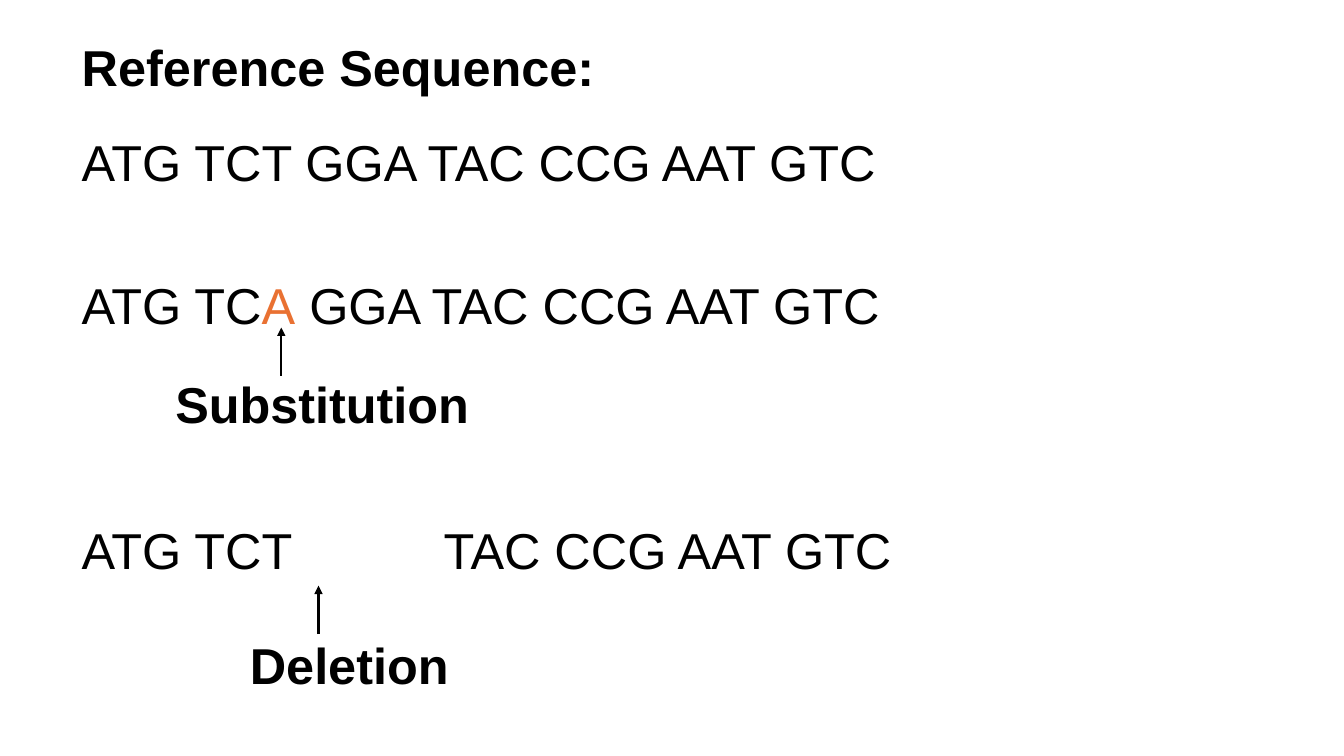
from lxml import etree
from pptx import Presentation
from pptx.dml.color import RGBColor
from pptx.enum.shapes import MSO_CONNECTOR
from pptx.enum.text import MSO_ANCHOR, MSO_AUTO_SIZE, PP_ALIGN
from pptx.oxml.ns import qn
from pptx.util import Inches, Pt

STRAIGHT = MSO_CONNECTOR.STRAIGHT
TOP = MSO_ANCHOR.TOP
GROW = MSO_AUTO_SIZE.SHAPE_TO_FIT_TEXT
LEFT = PP_ALIGN.LEFT
COLORS = {"ink": "000000", "changed": "E97132"}

deck = Presentation()
deck.slide_width = Inches(13.33)
deck.slide_height = Inches(7.5)
column = deck.slide_width / 100
row = deck.slide_height / 100
margin = 5.33
line_rows = 9.47
arrow_rows = 6.4
slide = deck.slides.add_slide(deck.slide_layouts[5])


def write(box, pieces, bold=False):
    frame = box.text_frame
    frame.word_wrap = True
    frame.auto_size = GROW
    frame.vertical_anchor = TOP
    paragraph = frame.paragraphs[0]
    paragraph.alignment = LEFT
    for text, color in pieces:
        run = paragraph.add_run()
        run.text = text
        run.font.color.rgb = RGBColor.from_string(COLORS[color])
    paragraph.font.name = "Arial"
    paragraph.font.size = Pt(36)
    paragraph.font.bold = bold
    return paragraph


def place(left, top, width):
    return [round(n) for n in (left * column, top * row, width * column, line_rows * row)]


heading = slide.shapes.title
heading.left, heading.top, heading.width, heading.height = place(margin, 4.13, 91.67)
write(heading, [("Reference Sequence:", "ink")], bold=True)

sequences = [
    (16.67, 84.7, [("ATG TCT GGA TAC CCG AAT GTC", "ink")]),
    (35.6, 91.67, [("ATG TC", "ink"), ("A", "changed"), (" GGA TAC CCG AAT GTC", "ink")]),
    (68, 91.67, [("ATG TCT\tTAC CCG AAT GTC", "ink")]),
]
for top, width, pieces in sequences:
    sequence = write(slide.shapes.add_textbox(*place(margin, top, width)), pieces)

deletion_gap = etree.SubElement(sequence._p.get_or_add_pPr(), qn("a:tabLst"))
etree.SubElement(deletion_gap, qn("a:tab"), pos=str(Inches(3.59)), algn="l")
properties = sequence._p.pPr
properties.insert(0, deletion_gap)

mutations = [
    ("Substitution", 12.3, 48.67, 20.93, 49.73),
    ("Deletion", 17.85, 83.2, 23.7, 83.87),
]
for mutation, left, top, arrow_x, arrow_foot in mutations:
    label = slide.shapes.add_textbox(*place(left, top, 50))
    write(label, [(mutation, "ink")], bold=True)
    x = round(arrow_x * column)
    arrow = slide.shapes.add_connector(
        STRAIGHT, x, round(arrow_foot * row), x, round((arrow_foot - arrow_rows) * row)
    )
    arrow.line.color.rgb = RGBColor.from_string(COLORS["ink"])
    arrow.line.width = Pt(1.5)
    etree.SubElement(arrow.line._get_or_add_ln(), qn("a:tailEnd"), type="triangle")
    etree.SubElement(arrow._element.spPr, qn("a:effectLst"))

deck.save("out.pptx")
